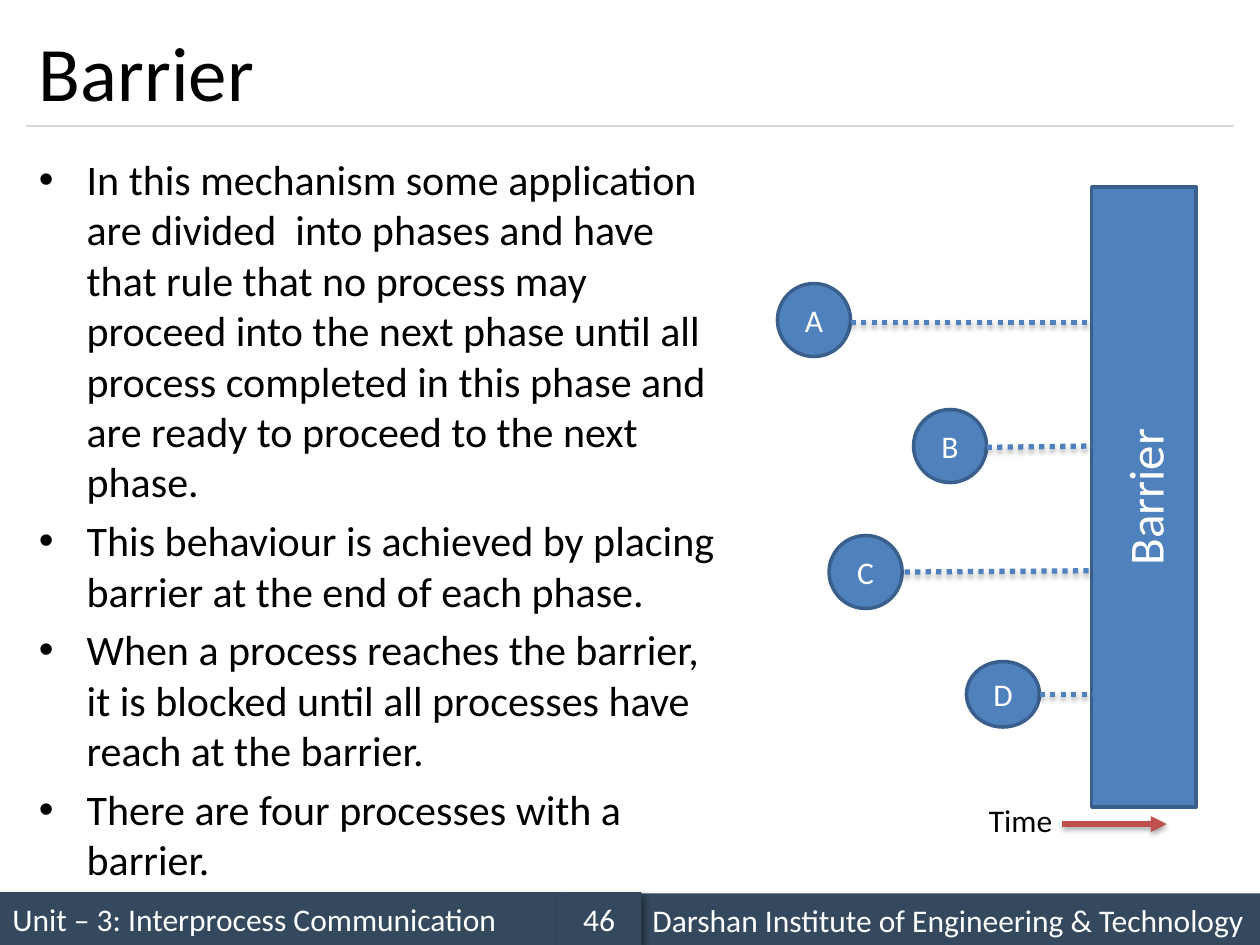
import lxml.etree
import pptx
import pptx.dml.color
import pptx.enum.dml
import pptx.enum.shapes
import pptx.enum.text
import pptx.oxml.ns
import pptx.util

Inches = pptx.util.Inches
Pt = pptx.util.Pt
RGB = pptx.dml.color.RGBColor.from_string
SHAPE = pptx.enum.shapes.MSO_SHAPE
STRAIGHT = pptx.enum.shapes.MSO_CONNECTOR.STRAIGHT
ALIGN = pptx.enum.text.PP_ALIGN
ANCHOR = pptx.enum.text.MSO_ANCHOR
qn = pptx.oxml.ns.qn

THEME = {
    "font": "Calibri",
    "black": "000000", "white": "FFFFFF", "footer": "34495E", "rule": "D9D9D9",
    "blue": "4F81BD", "outline": "3A5F8C", "red": "C0504D",
    "title": 44, "barrier": 28, "body": 24, "label": 18,
}


def write(sp, *texts, size="label", color="white", align=ALIGN.LEFT,
          anchor=ANCHOR.MIDDLE, bullet=False):
    tf = sp.text_frame
    tf.word_wrap = True
    tf.vertical_anchor = anchor
    for i, text in enumerate(texts):
        p = tf.add_paragraph() if i else tf.paragraphs[0]
        if bullet:
            pPr = p._p.get_or_add_pPr()
            pPr.set("marL", str(Inches(0.38)))
            pPr.set("indent", str(-Inches(0.38)))
            lxml.etree.SubElement(pPr, qn("a:buFont"), typeface="Arial")
            lxml.etree.SubElement(pPr, qn("a:buChar"), char="•")
        if i:
            p.space_before = Pt(4.8)
        p.alignment = align
        r = p.add_run()
        r.text = text
        r.font.name = THEME["font"]
        r.font.size = Pt(THEME[size])
        r.font.color.rgb = RGB(THEME[color])


def add_shadow(sp, opacity, blur, dist, angle):
    spPr = sp._element.spPr
    effects = spPr.find(qn("a:effectLst"))
    if effects is None:
        effects = lxml.etree.SubElement(spPr, qn("a:effectLst"))
    outer = lxml.etree.SubElement(
        effects, qn("a:outerShdw"), blurRad=str(Pt(blur)), dist=str(Pt(dist)),
        dir=str(angle * 60000), rotWithShape="0")
    clr = lxml.etree.SubElement(outer, qn("a:srgbClr"), val=THEME["black"])
    lxml.etree.SubElement(clr, qn("a:alpha"), val=str(opacity * 1000))


prs = pptx.Presentation()
prs.slide_width = Inches(10)
prs.slide_height = Inches(7.5)
s = prs.slides.add_slide(prs.slide_layouts[6])

footers = [
    (0, 7.08, 4.42, "Unit – 3: Interprocess Communication", ALIGN.LEFT),
    (5.08, 7.09, 4.92, "Darshan Institute of Engineering & Technology", ALIGN.LEFT),
    (4.42, 7.08, 0.67, "46", ALIGN.CENTER),
]
for x, y, w, text, align in footers:
    sp = s.shapes.add_shape(SHAPE.RECTANGLE, Inches(x), Inches(y), Inches(w), Inches(0.42))
    sp.shadow.inherit = False
    sp.fill.solid()
    sp.fill.fore_color.rgb = RGB(THEME["footer"])
    sp.line.fill.background()
    add_shadow(sp, 40, 4, 3, 45)
    write(sp, text, align=align)

rule = s.shapes.add_connector(STRAIGHT, Inches(0.21), Inches(1), Inches(9.79), Inches(1))
rule.line.color.rgb = RGB(THEME["rule"])
rule.line.width = Pt(0.75)
lxml.etree.SubElement(rule._element.spPr, qn("a:effectLst"))

body = s.shapes.add_textbox(Inches(0.21), Inches(1.17), Inches(5.67), Inches(5.53))
write(
    body,
    "In this mechanism some application are divided  into phases and have that rule "
    "that no process may proceed into the next phase until all process completed in "
    "this phase and are ready to proceed to the next phase.",
    "This behaviour is achieved by placing barrier at the end of each phase.",
    "When a process reaches the barrier, it is blocked until all processes have "
    "reach at the barrier.",
    "There are four processes with a barrier.",
    size="body", color="black", anchor=ANCHOR.TOP, bullet=True)

title = s.shapes.add_textbox(Inches(0.21), Inches(0.12), Inches(9.58), Inches(0.88))
write(title, "Barrier", size="title", color="black")

nodes = [
    ("Barrier", SHAPE.RECTANGLE, 6.62, 3.53, 4.92, 0.83, 270, "barrier"),
    ("A", SHAPE.OVAL, 6.17, 2.25, 0.58, 0.58, 0, "label"),
    ("B", SHAPE.OVAL, 7.25, 3.25, 0.58, 0.58, 0, "label"),
    ("C", SHAPE.OVAL, 6.58, 4.25, 0.58, 0.58, 0, "label"),
    ("D", SHAPE.OVAL, 7.67, 5.25, 0.58, 0.52, 0, "label"),
]
for text, kind, x, y, w, h, rotation, size in nodes:
    sp = s.shapes.add_shape(kind, Inches(x), Inches(y), Inches(w), Inches(h))
    sp.rotation = rotation
    sp.shadow.inherit = False
    sp.fill.solid()
    sp.fill.fore_color.rgb = RGB(THEME["blue"])
    sp.line.color.rgb = RGB(THEME["outline"])
    sp.line.width = Pt(2)
    write(sp, text, size=size, align=ALIGN.CENTER)

lines = [
    (6.75, 2.56, 8.67, 2.56, "blue"),
    (7.83, 3.55, 8.67, 3.54, "blue"),
    (7.18, 4.54, 8.65, 4.53, "blue"),
    (8.25, 5.51, 8.67, 5.51, "blue"),
    (8.43, 6.54, 9.26, 6.54, "red"),
]
for x1, y1, x2, y2, color in lines:
    line = s.shapes.add_connector(STRAIGHT, Inches(x1), Inches(y1), Inches(x2), Inches(y2))
    line.line.color.rgb = RGB(THEME[color])
    line.line.width = Pt(3)
    if color == "blue":
        line.line.dash_style = pptx.enum.dml.MSO_LINE.ROUND_DOT
    else:
        lxml.etree.SubElement(line.line._get_or_add_ln(), qn("a:tailEnd"), type="triangle")
    add_shadow(line, 35, 3.1, 1.8, 90)

time = s.shapes.add_textbox(Inches(7.75), Inches(6.31), Inches(0.75), Inches(0.4))
write(time, "Time", color="black", anchor=ANCHOR.TOP)

prs.save("out.pptx")
